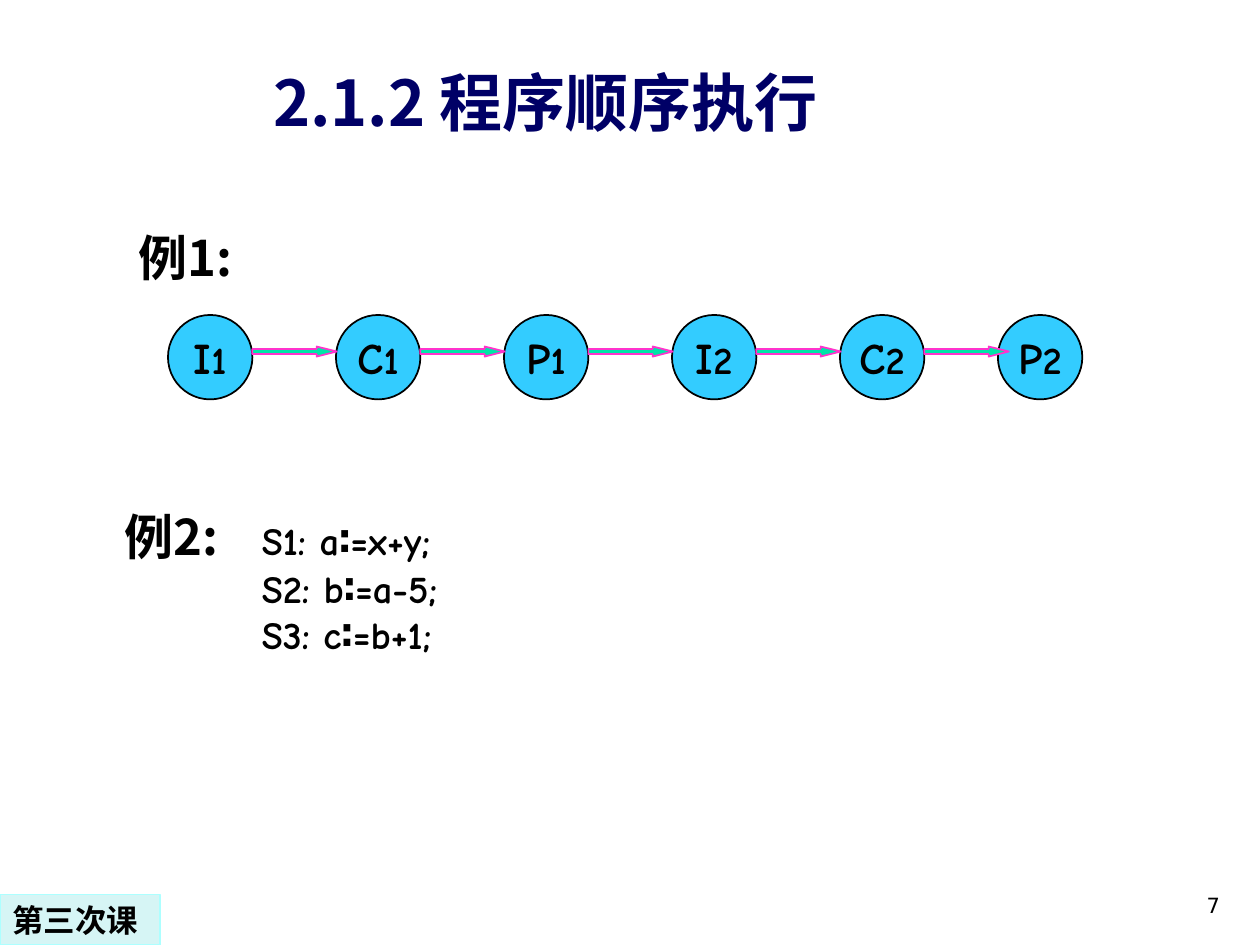
from typing import NamedTuple

from pptx import Presentation
from pptx.dml.color import RGBColor
from pptx.enum.shapes import MSO_SHAPE as Preset
from pptx.enum.text import MSO_ANCHOR as Anchor, PP_ALIGN as Align
from pptx.oxml.ns import qn
from pptx.util import Inches, Pt

COLORS = {
    "text": "000000", "title": "000066", "node": "33CCFF", "arrow": "00E4A8",
    "arrow_line": "FF33CC", "label": "D6F5F5", "label_line": "ADFFFF",
}
HEADING_FONT, CODE_FONT, PLAIN_FONT = "Noto Sans CJK SC", "Comic Neue", "DejaVu Sans"
NODE_SIZE, NODE_TOP, ARROW_TOP, ARROW_HEIGHT = 0.67, 2.5, 2.75, 0.08
STEP = 4 / 3
CODE_INDENT = 1.09


class Box(NamedTuple):
    left: float
    top: float
    width: float
    height: float


class Span(NamedTuple):
    text: str
    size: float
    font: str
    bold: bool = True
    color: str = "text"


class Node(NamedTuple):
    letter: str
    digit: str
    left: float


class Label(NamedTuple):
    box: Box
    span: Span
    align: Align = Align.LEFT
    anchor: Anchor = Anchor.TOP


NODES = [Node(letter, digit, STEP * (index + 1))
         for index, (letter, digit) in enumerate(["I1", "C1", "P1", "I2", "C2"])]
NODES.append(Node("P", "2", 7.92))

LABELS = [
    Label(Box(7.7, 6.83, 2.08, 0.5), Span("7", 12, PLAIN_FONT, False), Align.RIGHT, Anchor.BOTTOM),
    Label(Box(1, 1.76, 8.36, 0.57), Span("例1:", 28, HEADING_FONT)),
    Label(Box(0.56, 0.49, 7.54, 0.66), Span("2.1.2 程序顺序执行", 36, HEADING_FONT, color="title"),
          Align.CENTER, Anchor.BOTTOM),
]
STATEMENTS = ["S1: a∶=x+y;", "S2: b∶=a-5;", "S3: c∶=b+1;"]


def set_values(target, values: dict) -> None:
    """Set each named attribute on the target."""
    for name, value in values.items():
        setattr(target, name, value)


def place(box: Box) -> list:
    """Return the box as lengths."""
    return [Inches(value) for value in box]


def add_span(paragraph, span: Span) -> None:
    """Add one formatted run to a paragraph."""
    run = paragraph.add_run()
    run.text = span.text
    set_values(run.font, {"size": Pt(span.size), "name": span.font, "bold": span.bold})
    run.font.color.rgb = RGBColor.from_string(COLORS[span.color])
    if span.font != CODE_FONT:
        east_asian = run.font._element.makeelement(qn("a:ea"), {"typeface": HEADING_FONT})
        run.font._element.find(qn("a:latin")).addnext(east_asian)


def add_text_box(slide, box: Box, anchor: Anchor = Anchor.TOP):
    """Add a wrapping text box and return its text frame."""
    frame = slide.shapes.add_textbox(*place(box)).text_frame
    set_values(frame, {"word_wrap": True, "vertical_anchor": anchor})
    return frame


def add_label(slide, label: Label) -> None:
    """Add a text box holding one span."""
    paragraph = add_text_box(slide, label.box, label.anchor).paragraphs[0]
    paragraph.alignment = label.align
    add_span(paragraph, label.span)


def add_figure(slide, preset: Preset, box: Box, fill: str, line: str, width: float = 1):
    """Add a filled and outlined preset shape."""
    shape = slide.shapes.add_shape(preset, *place(box))
    shape.shadow.inherit = False
    shape.fill.solid()
    shape.fill.fore_color.rgb = RGBColor.from_string(COLORS[fill])
    shape.line.color.rgb = RGBColor.from_string(COLORS[line])
    shape.line.width = Pt(width)
    return shape


def add_node(slide, node: Node) -> None:
    """Add a circle with a letter and a smaller digit."""
    box = Box(node.left, NODE_TOP, NODE_SIZE, NODE_SIZE)
    frame = add_figure(slide, Preset.OVAL, box, "node", "text").text_frame
    set_values(frame, {"word_wrap": False, "vertical_anchor": Anchor.MIDDLE})
    paragraph = frame.paragraphs[0]
    paragraph.alignment = Align.CENTER
    add_span(paragraph, Span(node.letter, 25, CODE_FONT))
    add_span(paragraph, Span(node.digit, 22, CODE_FONT))


def add_arrow(slide, left: float) -> None:
    """Add a slim block arrow between two circles."""
    box = Box(left, ARROW_TOP, NODE_SIZE, ARROW_HEIGHT)
    arrow = add_figure(slide, Preset.RIGHT_ARROW, box, "arrow", "arrow_line")
    arrow.adjustments[0], arrow.adjustments[1] = 0.5, 2


def add_statements(slide) -> None:
    """Add the second example with its statements on one left edge."""
    frame = add_text_box(slide, Box(0.89, 3.97, 8.36, 1.31))
    for index, statement in enumerate(STATEMENTS):
        paragraph = frame.add_paragraph() if index else frame.paragraphs[0]
        properties = paragraph._element.get_or_add_pPr()
        properties.set("marL", str(Inches(CODE_INDENT)))
        properties.set("indent", str(0 if index else -Inches(CODE_INDENT)))
        if not index:
            add_span(paragraph, Span("例2:\t", 28, HEADING_FONT))
        add_span(paragraph, Span(statement, 22, CODE_FONT))


def add_lesson(slide) -> None:
    """Add the lesson label in the bottom left corner."""
    box = Box(0, 7.1, 1.27, 0.4)
    shape = add_figure(slide, Preset.RECTANGLE, box, "label", "label_line", 0.75)
    set_values(shape.text_frame, {"word_wrap": False, "vertical_anchor": Anchor.TOP})
    paragraph = shape.text_frame.paragraphs[0]
    paragraph.alignment = Align.LEFT
    add_span(paragraph, Span("第三次课", 18, PLAIN_FONT))


def main() -> None:
    """Build and save the slide."""
    presentation = Presentation()
    set_values(presentation, {"slide_width": Inches(10), "slide_height": Inches(7.5)})
    slide = presentation.slides.add_slide(presentation.slide_layouts[6])
    for label in LABELS:
        add_label(slide, label)
    add_statements(slide)
    for node in NODES:
        add_node(slide, node)
    for node in NODES[:-1]:
        add_arrow(slide, node.left + NODE_SIZE)
    add_lesson(slide)
    presentation.save("out.pptx")


if __name__ == "__main__":
    main()
